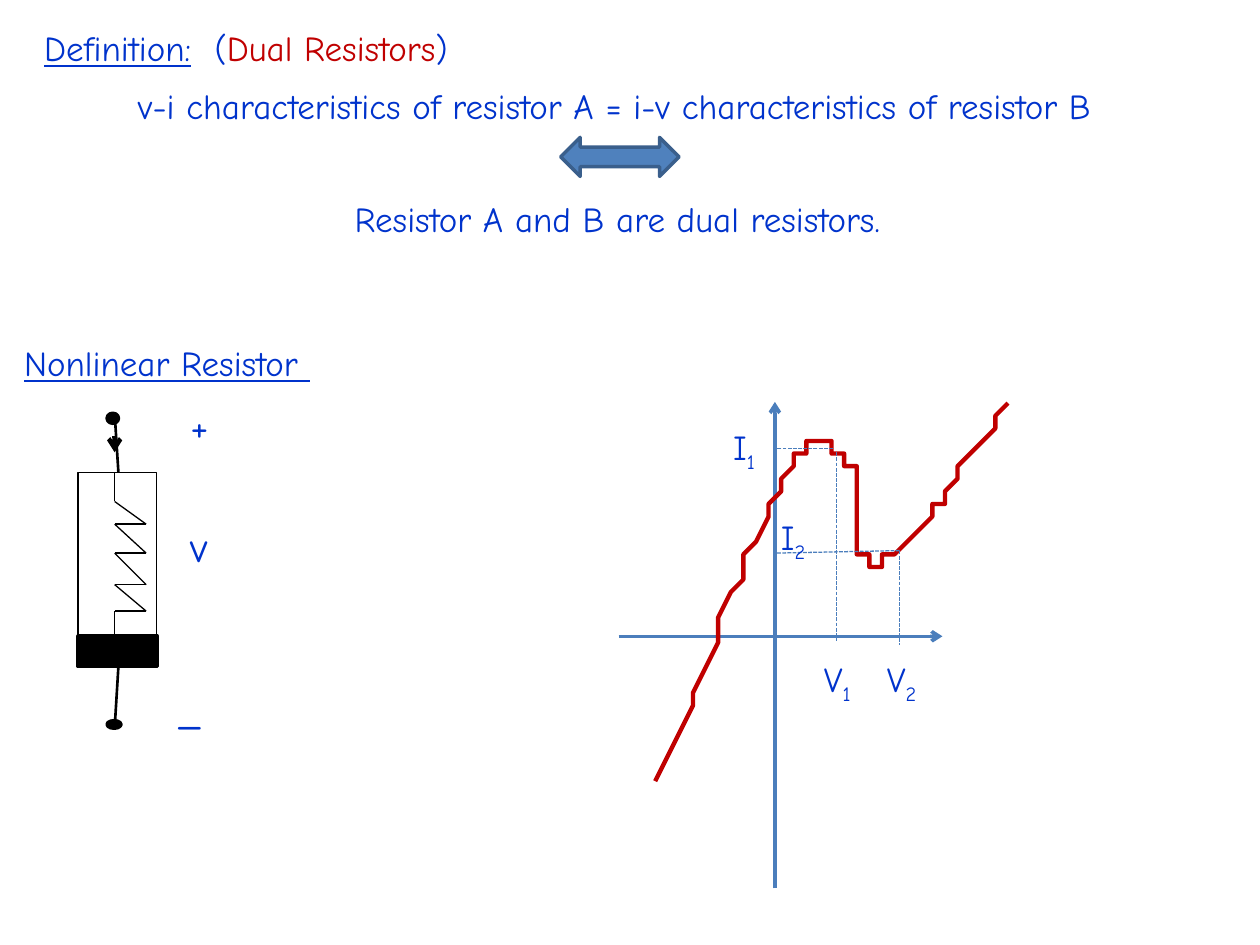
from itertools import pairwise

from lxml import etree
from pptx import Presentation
from pptx.dml.color import RGBColor
from pptx.enum.dml import MSO_LINE
from pptx.enum.shapes import MSO_CONNECTOR, MSO_SHAPE
from pptx.enum.text import MSO_AUTO_SIZE, PP_ALIGN
from pptx.oxml.ns import qn
from pptx.util import Inches, Pt

STRAIGHT = MSO_CONNECTOR.STRAIGHT
RECTANGLE = MSO_SHAPE.RECTANGLE
OVAL = MSO_SHAPE.OVAL
DOUBLE_ARROW = MSO_SHAPE.LEFT_RIGHT_ARROW
DASH = MSO_LINE.SQUARE_DOT
LEFT, CENTER = PP_ALIGN.LEFT, PP_ALIGN.CENTER

# The page is a grid of 100 columns by 75 rows
COLUMNS, ROWS = 100, 75
CELL = Inches(0.1)
BLACK, BLUE, RED, STEEL = "000000", "0033CC", "C00000", "4B7EBC"


def color(code):
    return RGBColor.from_string(code)


def cells(*values):
    return [round(value * CELL) for value in values]


class Sketch:
    """Holds the text style and the current page."""

    style = {"name": "Comic Neue", "size": Pt(20)}

    def __init__(self, page):
        self.page = page

    def text(self, place, spans, align=LEFT, wrap=True):
        """Each span is its wording and a dict of what differs from the style."""
        box = self.page.shapes.add_textbox(*cells(*place))
        frame = box.text_frame
        frame.word_wrap = wrap
        frame.auto_size = MSO_AUTO_SIZE.SHAPE_TO_FIT_TEXT
        para = frame.paragraphs[0]
        para.alignment = align
        for wording, changes in spans:
            span = para.add_run()
            span.text = wording
            look = {**self.style, **changes}
            span.font.color.rgb = color(look.pop("color", BLUE))
            baseline = look.pop("baseline", None)
            if baseline:
                span._r.get_or_add_rPr().set("baseline", baseline)
            for name, value in look.items():
                setattr(span.font, name, value)

    def symbol(self, left, top, letter, index, width=4.7):
        """A quantity with a subscript."""
        self.text((left, top, width, 4.4), [(letter, {}), (index, {"baseline": "-25000"})])

    def shape(self, kind, place, fill=None, line=BLACK, weight=2):
        shape = self.page.shapes.add_shape(kind, *cells(*place))
        self.finish(shape, fill, line, weight)

    def finish(self, shape, fill, line, weight):
        shape.shadow.inherit = False
        if fill:
            shape.fill.solid()
            shape.fill.fore_color.rgb = color(fill)
        else:
            shape.fill.background()
        shape.line.color.rgb = color(line)
        shape.line.width = Pt(weight)

    def line(self, start, end, code=BLACK, weight=0.75, dash=None, arrow=False):
        line = self.page.shapes.add_connector(STRAIGHT, *cells(*start, *end))
        line.line.color.rgb = color(code)
        line.line.width = Pt(weight)
        if dash:
            line.line.dash_style = dash
        if arrow:
            etree.SubElement(line.line._get_or_add_ln(), qn("a:tailEnd"), type="arrow")
        etree.SubElement(line._element.spPr, qn("a:effectLst"))

    def curve(self, start, segments, code, weight, steps=16):
        """A chain of cubic segments, each given by two handles and an end."""
        points, origin = [], start
        for first, second, end in segments:
            for step in range(1, steps + 1):
                t = step / steps
                u = 1 - t
                points.append(tuple(
                    u**3 * a + 3 * u * u * t * b + 3 * u * t * t * c + t**3 * d
                    for a, b, c, d in zip(origin, first, second, end)))
            origin = end
        builder = self.page.shapes.build_freeform(*start, scale=CELL)
        builder.add_line_segments(points, close=False)
        self.finish(builder.convert_to_shape(), None, code, weight)


def draw_definition(sketch):
    sketch.text((1.6, 1.6, 39.4, 4.4), [
        (" ", {}), ("Definition:", {"underline": True}), ("  (", {}),
        ("Dual Resistors", {"color": RED}), (")", {})], wrap=False)
    sketch.text((1.6, 6.2, 95.3, 4.4), [
        ("v-i characteristics of resistor A = i-v characteristics of resistor B ", {})], CENTER)
    sketch.shape(DOUBLE_ARROW, (44.5, 10.9, 9.4, 3.1), "4F81BD", "3A5F8C")
    sketch.text((20.4, 15.2, 56.3, 4.4), [(" Resistor A and B are dual resistors.", {})], CENTER)
    sketch.text((0, 26.6, 34.4, 4.4), [(" ", {}), ("Nonlinear Resistor ", {"underline": True})])


def draw_resistor(sketch):
    # Body with the zigzag inside
    sketch.shape(RECTANGLE, (6.2, 37.5, 6.2, 15.4), weight=0.75)
    near, far = 9.1, 11.6
    zigzag = [(near, 37.5), (near, 39.8)]
    for row in (41.6, 43.9, 46.4, 48.5):
        zigzag += [(far, row), (near, row)]
    zigzag.append((near, 50.6))
    for start, end in pairwise(zigzag):
        sketch.line(start, end)
    sketch.shape(RECTANGLE, (6.2, 50.5, 6.3, 2.4), BLACK)

    # Leads, terminals and current arrow
    sketch.line((9.1, 32.8), (9.4, 37.5), weight=1.5)
    sketch.line((9.4, 52.9), (9.1, 57.8), weight=1.5)
    sketch.shape(OVAL, (8.5, 32.8, 0.9, 0.8), BLACK)
    sketch.shape(OVAL, (8.5, 57.2, 1.1, 0.6), BLACK)
    sketch.line((9.1, 34.6), (9.1, 35.9), weight=2.5, arrow=True)

    # Polarity and voltage
    for left, top, sign in ((14.1, 31.2, "+"), (13.3, 53.9, "_"), (14.1, 40.8, "v")):
        sketch.text((left, top, 2.9, 8.4), [(sign, {"size": Pt(24)}), (" ", {})])


def draw_characteristic(sketch):
    # Axes
    sketch.line((61.5, 70.5), (61.5, 31.9), STEEL, 2, arrow=True)
    sketch.line((49.1, 50.5), (74.8, 50.5), STEEL, 2, arrow=True)

    sketch.curve((52.4, 62.3), [
        ((56.3, 51.8), (60.2, 41.2), (62.7, 37)),
        ((65.2, 32.9), (66.5, 36.2), (67.5, 37.3)),
        ((68.4, 38.3), (67.7, 42.4), (68.3, 43.5)),
        ((69, 44.5), (69.5, 45.6), (71.4, 43.7)),
        ((73.3, 41.8), (76.5, 36.8), (79.8, 31.9))], RED, 2.5)

    # Guides from the curve to the axes
    for start, end in (
            ((66.4, 35.9), (66.4, 50.9)), ((71.4, 43.7), (71.4, 51.2)),
            ((71.4, 43.7), (61.5, 43.9)), ((66.1, 35.6), (61.5, 35.6))):
        sketch.line(start, end, STEEL, dash=DASH)

    sketch.symbol(61, 40.4, "I", "2")
    sketch.symbol(57.2, 33.3, "I", "1")
    sketch.symbol(64.4, 51.7, "V", "1")
    sketch.symbol(69.4, 51.7, "V", "2", width=7)


def main():
    deck = Presentation()
    deck.slide_width, deck.slide_height = cells(COLUMNS, ROWS)
    sketch = Sketch(deck.slides.add_slide(deck.slide_layouts[6]))
    draw_definition(sketch)
    draw_resistor(sketch)
    draw_characteristic(sketch)
    deck.save("out.pptx")


if __name__ == "__main__":
    main()
